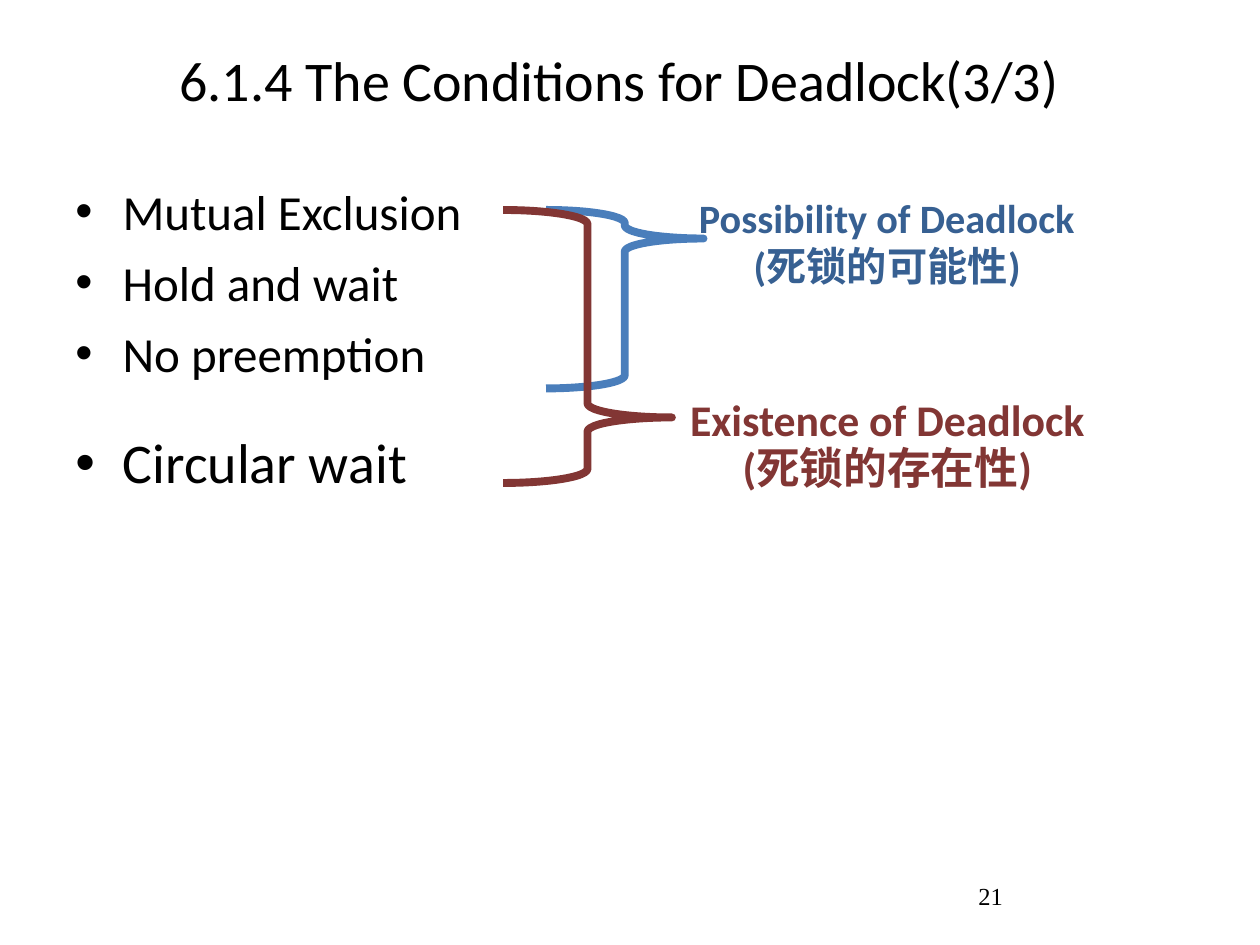
from dataclasses import dataclass

from lxml import etree
from pptx import Presentation
from pptx.dml.color import RGBColor
from pptx.enum.shapes import MSO_SHAPE
from pptx.enum.text import MSO_ANCHOR, MSO_AUTO_SIZE, PP_ALIGN
from pptx.oxml.ns import qn
from pptx.util import Pt

BRACE = MSO_SHAPE.RIGHT_BRACE
MIDDLE, TOP = MSO_ANCHOR.MIDDLE, MSO_ANCHOR.TOP
CENTER, LEFT = PP_ALIGN.CENTER, PP_ALIGN.LEFT
FIXED = MSO_AUTO_SIZE.NONE


@dataclass(frozen=True)
class Theme:
    font: str = "Calibri"
    serif: str = "Times New Roman"
    ink: str = "000000"
    blue: str = "376092"
    edge: str = "4A7EBB"
    red: str = "823634"
    head: int = 32
    large: int = 32
    body: int = 28
    exist: int = 25
    maybe: int = 23
    page: int = 14
    stroke: float = 4.5
    indent: int = 27


def assign(target, values):
    for name, value in values.items():
        setattr(target, name, value)


class Board:
    """Draws on one slide; every box is (left, top, width, height) in points."""

    def __init__(self, slide, theme):
        self.slide = slide
        self.theme = theme

    def place(self, shape, box):
        assign(shape, dict(zip(("left", "top", "width", "height"), map(Pt, box))))

    def fill_text(self, shape, lines, size, color, bold=False, font=None,
                  align=CENTER, anchor=MIDDLE, pitch=None, gap=0, bullet=False):
        frame = shape.text_frame
        assign(frame, {"text": "\n".join(lines), "word_wrap": True,
                       "auto_size": FIXED, "vertical_anchor": anchor})
        for i, para in enumerate(frame.paragraphs):
            if bullet:
                self.bullet(para)
            assign(para, {"alignment": align, "line_spacing": pitch,
                          "space_before": Pt(gap if i else 0)})
            assign(para.font, {"name": font or self.theme.font,
                               "size": Pt(size), "bold": bold})
            para.font.color.rgb = RGBColor.from_string(color)

    def bullet(self, para):
        props = para._p.get_or_add_pPr()
        indent = Pt(self.theme.indent)
        props.set("marL", str(indent))
        props.set("indent", str(-indent))
        etree.SubElement(props, qn("a:buFont")).set("typeface", "Arial")
        etree.SubElement(props, qn("a:buChar")).set("char", "•")

    def title(self, text, box):
        shape = self.slide.shapes.title
        self.place(shape, box)
        self.fill_text(shape, [text], self.theme.head, self.theme.ink)

    def text(self, lines, box, size, color, **style):
        shape = self.slide.shapes.add_textbox(*map(Pt, box))
        self.fill_text(shape, lines, size, color, **style)

    def points(self, lines, box, size, gap=0):
        self.text(lines, box, size, self.theme.ink, align=LEFT, anchor=TOP,
                  gap=gap, bullet=True)

    def brace(self, box, color, tip):
        """Tip is the share of the height at which the brace points."""
        shape = self.slide.shapes.add_shape(BRACE, *map(Pt, box))
        shape.shadow.inherit = False
        shape.adjustments[1] = tip
        shape.fill.background()
        shape.line.width = Pt(self.theme.stroke)
        shape.line.color.rgb = RGBColor.from_string(color)


def main():
    deck = Presentation()
    assign(deck, {"slide_width": Pt(720), "slide_height": Pt(540)})
    theme = Theme()
    board = Board(deck.slides.add_slide(deck.slide_layouts[5]), theme)

    board.title("6.1.4 The Conditions for Deadlock(3/3)", (18, 12, 672, 66))
    board.points(["Mutual Exclusion", "Hold and wait", "No preemption"],
                 (36, 100, 648, 382), theme.body, gap=7)
    board.points(["Circular wait"], (36, 241, 312, 54), theme.large)

    board.brace((312, 120, 90, 102), theme.edge, 0.16)
    board.brace((287.5, 120, 96.5, 156), theme.red, 0.76)
    board.text(["Possibility of Deadlock", "(死锁的可能性)"],
               (360, 105, 294, 66), theme.maybe, theme.blue, bold=True)
    board.text(["Existence of Deadlock", "(死锁的存在性)"],
               (357, 222, 300, 66), theme.exist, theme.red, bold=True, pitch=0.9)

    board.text(["21"], (552, 500, 168, 29), theme.page, theme.ink,
               font=theme.serif, align=LEFT, anchor=TOP)
    deck.save("out.pptx")


if __name__ == "__main__":
    main()
